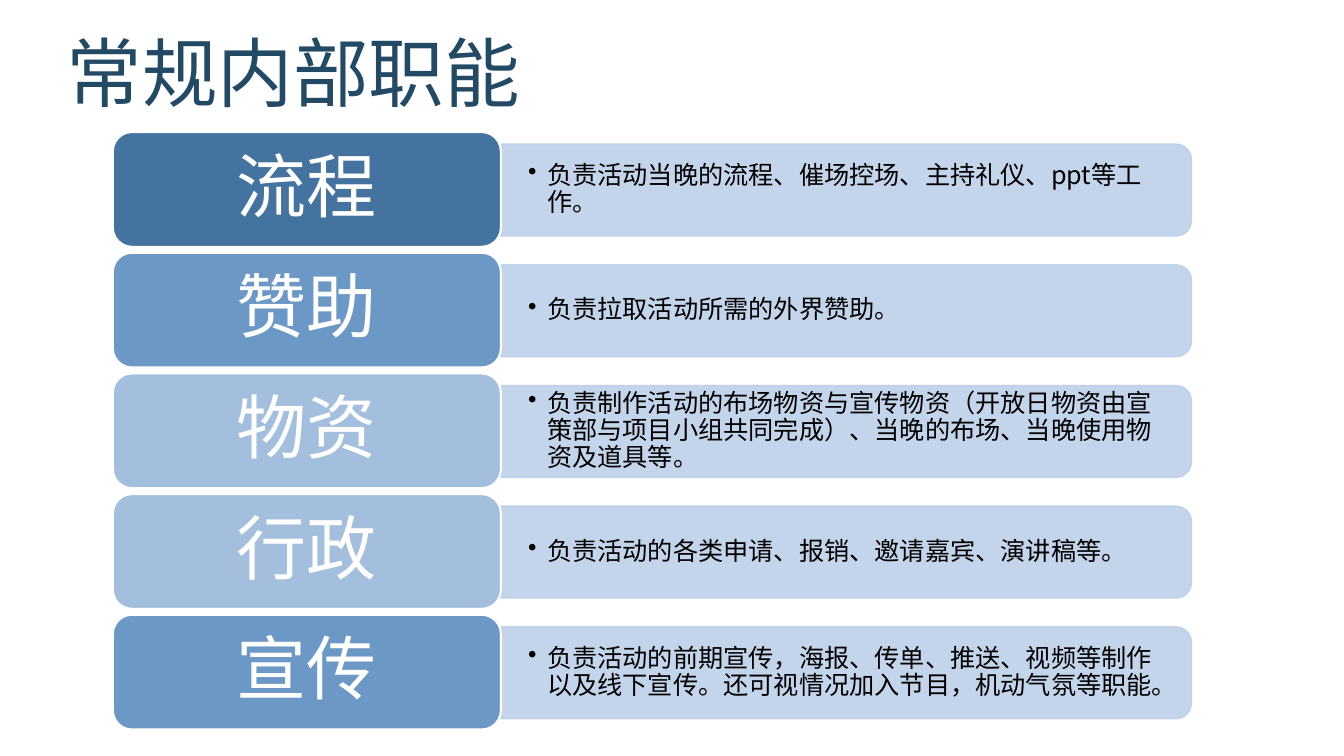
import dataclasses

import pptx
import pptx.dml.color
import pptx.enum.shapes
import pptx.enum.text
import pptx.oxml
import pptx.oxml.ns
import pptx.util
from lxml import etree

Pt = pptx.util.Pt
RGB = pptx.dml.color.RGBColor.from_string
SHAPE = pptx.enum.shapes.MSO_SHAPE
ALIGN = pptx.enum.text.PP_ALIGN
ANCHOR = pptx.enum.text.MSO_ANCHOR
qn = pptx.oxml.ns.qn


@dataclasses.dataclass(frozen=True)
class Theme:
    title: str = "234A65"
    dark: str = "43739E"
    mid: str = "6C98C5"
    light: str = "A4BEDE"
    bar: str = "BDD0E9"
    text: str = "000000"
    white: str = "FFFFFF"
    head_font: str = "Noto Sans CJK JP"
    body_font: str = "Noto Sans CJK SC"
    head_size: int = 54
    label_size: int = 50
    body_size: int = 18


THEME = Theme()

ROWS = [
    ("流程", THEME.dark, "负责活动当晚的流程、催场控场、主持礼仪、ppt等工作。"),
    ("赞助", THEME.mid, "负责拉取活动所需的外界赞助。"),
    ("物资", THEME.light, "负责制作活动的布场物资与宣传物资（开放日物资由宣策部与项目小组共同完成）、"
                        "当晚的布场、当晚使用物资及道具等。"),
    ("行政", THEME.light, "负责活动的各类申请、报销、邀请嘉宾、演讲稿等。"),
    ("宣传", THEME.mid, "负责活动的前期宣传，海报、传单、推送、视频等制作以及线下宣传。"
                      "还可视情况加入节目，机动气氛等职能。"),
]


def write(shape, text, font, size, color, pad=(0, 0), anchor=ANCHOR.MIDDLE):
    """Fill a shape with one paragraph and return that paragraph."""
    frame = shape.text_frame
    frame.word_wrap = True
    frame.vertical_anchor = anchor
    frame.margin_left = frame.margin_right = Pt(pad[0])
    frame.margin_top = frame.margin_bottom = Pt(pad[1])
    para = frame.paragraphs[0]
    para.text = text
    para.font.name = font
    para.font.size = Pt(size)
    para.font.color.rgb = RGB(color)
    latin = para._p.pPr.find(qn("a:defRPr")).find(qn("a:latin"))
    east = etree.Element(qn("a:ea"), typeface=font)
    latin.addnext(east)
    return para


def block(slide, kind, box, fill, line, width):
    shape = slide.shapes.add_shape(kind, *map(Pt, box))
    shape.shadow.inherit = False
    shape.fill.solid()
    shape.fill.fore_color.rgb = RGB(fill)
    shape.line.color.rgb = RGB(line)
    shape.line.width = Pt(width)
    return shape


def title(slide, box, text):
    head = slide.shapes.add_textbox(*map(Pt, box))
    para = write(head, text, THEME.head_font, THEME.head_size, THEME.title,
                 anchor=ANCHOR.TOP)
    para.alignment = ALIGN.JUSTIFY


def bar(slide, box):
    """Draw a pale bar, rounded at its right end, by turning an upright one."""
    left, top, width, height = box
    shift = (width - height) / 2
    shape = block(slide, SHAPE.ROUND_2_SAME_RECTANGLE,
                  (left + shift, top - shift, height, width),
                  THEME.bar, THEME.bar, 1)
    shape.rotation = 90
    for color in shape._element.spPr.iter(qn("a:srgbClr")):
        etree.SubElement(color, qn("a:alpha"), val="90000")


def detail(slide, box, text):
    note = slide.shapes.add_textbox(*map(Pt, box))
    para = write(note, text, THEME.body_font, THEME.body_size, THEME.text,
                 pad=(19.5, 10))
    para.line_spacing = 0.9
    props = para._p.pPr
    props.set("marL", str(Pt(13.5)))
    props.set("indent", str(-Pt(13.5)))
    dot = etree.Element(qn("a:buChar"), char="•")
    props.find(qn("a:defRPr")).addprevious(dot)


def label(slide, box, text, fill):
    shape = block(slide, SHAPE.ROUNDED_RECTANGLE, box, fill, THEME.white, 1.5)
    para = write(shape, text, THEME.body_font, THEME.label_size, THEME.white,
                 pad=(19, 11))
    para.alignment = ALIGN.CENTER
    para.line_spacing = 0.9


def row(slide, box, name, fill, text):
    left, top, width, height = box
    split = 277.2
    thick = 65.6
    start = left + split
    middle = top + height / 2 + 0.5
    bar(slide, (start, middle - thick / 2, width - split, thick))
    detail(slide, (start, middle - 29.5, width - split - 3.6, 59), text)
    label(slide, (left, top, split, height), name, fill)


def duties(slide, box):
    left, top, width, height = box
    tall = 82
    pitch = (height - tall) / (len(ROWS) - 1)
    for i, (name, fill, text) in enumerate(ROWS):
        row(slide, (left, top + i * pitch, width, tall), name, fill, text)


def main():
    deck = pptx.Presentation()
    deck.slide_width = Pt(960)
    deck.slide_height = Pt(540)
    slide = deck.slides.add_slide(deck.slide_layouts[6])
    title(slide, (47.5, 18.7, 425, 65.5), "常规内部职能")
    duties(slide, (80.6, 94.3, 770.4, 426.8))
    deck.save("out.pptx")


if __name__ == "__main__":
    main()
